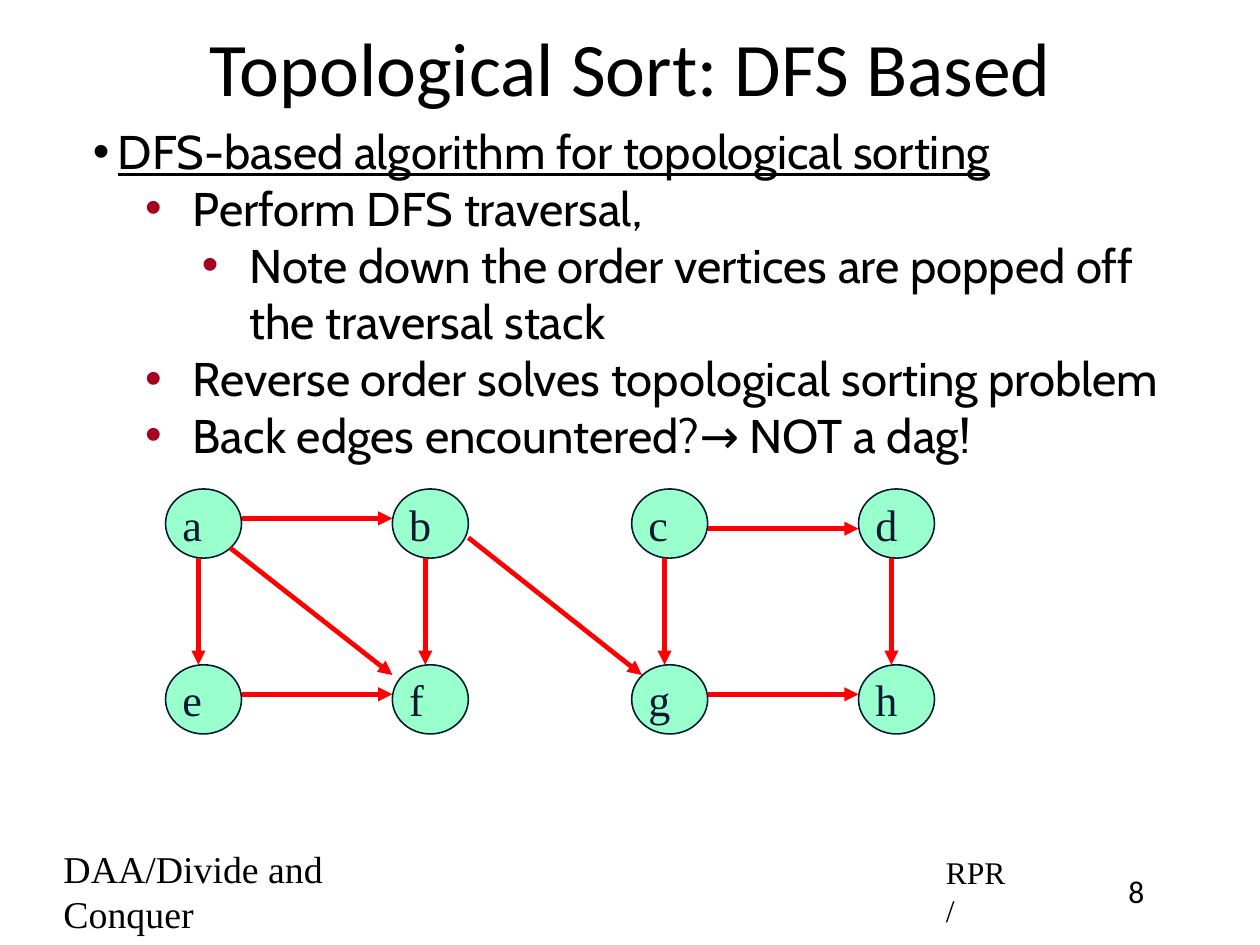
from lxml import etree
from pptx import Presentation
from pptx.dml.color import RGBColor
from pptx.enum.shapes import MSO_CONNECTOR, MSO_SHAPE
from pptx.enum.text import MSO_ANCHOR, MSO_AUTO_SIZE, PP_ALIGN
from pptx.oxml.ns import qn
from pptx.util import Inches, Pt

STRAIGHT = MSO_CONNECTOR.STRAIGHT
ELLIPSE = MSO_SHAPE.OVAL
TOP, MIDDLE = MSO_ANCHOR.TOP, MSO_ANCHOR.MIDDLE
NO_AUTOFIT = MSO_AUTO_SIZE.NONE
LEFT, CENTER = PP_ALIGN.LEFT, PP_ALIGN.CENTER

COLORS = {
    "text": "000000",
    "bullet": "A50021",
    "vertex": "99FFCC",
    "ink": "001932",
    "edge": "FF0000",
}

BODY_LINES = [
    (0, "DFS-based algorithm for topological sorting"),
    (1, "Perform DFS traversal,"),
    (2, "Note down the order vertices are popped off the traversal stack"),
    (1, "Reverse order solves topological sorting problem"),
    (1, "Back edges encountered?→ NOT a dag!"),
]
BODY_INDENTS = [(0.26, -0.22), (0.92, -0.42), (1.42, -0.42)]

COLUMN_LEFTS = [1.46, 3.46, 5.57, 7.57]
ROW_TOPS = [4.31, 5.86]
VERTEX_ROWS = ["abcd", "efgh"]
VERTEX_WIDTH, VERTEX_HEIGHT = 0.67, 0.61

PORTS = {
    "top": (0.29, 0),
    "bottom": (0.29, VERTEX_HEIGHT),
    "left": (0, 0.26),
    "right": (VERTEX_WIDTH, 0.26),
    "left low": (0, 0.35),
    "right low": (VERTEX_WIDTH, 0.35),
    "left high": (0, 0.09),
    "upper left": (0.09, 0.09),
    "lower right": (0.57, 0.52),
    "right lowest": (VERTEX_WIDTH, 0.43),
}
EDGES = [
    ("a", "right", "b", "left"),
    ("e", "right", "f", "left"),
    ("g", "right", "h", "left"),
    ("c", "right low", "d", "left low"),
    ("a", "bottom", "e", "top"),
    ("b", "bottom", "f", "top"),
    ("c", "bottom", "g", "top"),
    ("d", "bottom", "h", "top"),
    ("a", "lower right", "f", "left high"),
    ("b", "right lowest", "g", "upper left"),
]


def color(name):
    return RGBColor.from_string(COLORS[name])


def write_text(paragraph, text, size=20, font="Times New Roman", ink="text",
               align=LEFT, margin=0, indent=0, underline=False):
    paragraph.alignment = align
    paragraph.space_before = paragraph.space_after = Pt(0)
    properties = paragraph._p.get_or_add_pPr()
    properties.set("marL", str(Inches(margin)))
    properties.set("indent", str(Inches(indent)))
    run = paragraph.add_run()
    run.text = text
    run.font.size = Pt(size)
    run.font.name = font
    run.font.color.rgb = color(ink)
    run.font.underline = underline


def add_bullet(paragraph, bullet_color):
    properties = paragraph._p.get_or_add_pPr()
    fill = etree.SubElement(properties, qn("a:buClr"))
    etree.SubElement(fill, qn("a:srgbClr"), val=COLORS[bullet_color])
    etree.SubElement(properties, qn("a:buFont"), typeface="Arial")
    etree.SubElement(properties, qn("a:buChar"), char="•")


class SlideBuilder:
    def __init__(self, presentation):
        self.slide = presentation.slides.add_slide(presentation.slide_layouts[1])
        self.inset = 0.06

    def frame(self, shape, anchor, inset):
        frame = shape.text_frame
        frame.word_wrap = True
        frame.auto_size = NO_AUTOFIT
        frame.vertical_anchor = anchor
        frame.margin_left = frame.margin_right = Inches(inset)
        frame.margin_top = frame.margin_bottom = Inches(inset)
        return frame

    def placeholder(self, index, box, anchor):
        shape = self.slide.placeholders[index]
        shape.left, shape.top, shape.width, shape.height = map(Inches, box)
        return self.frame(shape, anchor, self.inset)

    def title(self, text, box):
        frame = self.placeholder(0, box, MIDDLE)
        write_text(frame.paragraphs[0], text, size=48, font="Calibri",
                   align=CENTER, margin=0.04)

    def body(self, lines, box):
        frame = self.placeholder(1, box, TOP)
        for number, (level, text) in enumerate(lines):
            paragraph = frame.add_paragraph() if number else frame.paragraphs[0]
            paragraph.level = level
            margin, indent = BODY_INDENTS[level]
            write_text(paragraph, text, size=30, font="Cabin", margin=margin,
                       indent=indent, underline=level == 0)
            add_bullet(paragraph, "bullet" if level else "text")

    def label(self, text, box, anchor=MIDDLE, **text_format):
        shape = self.slide.shapes.add_textbox(*map(Inches, box))
        frame = self.frame(shape, anchor, self.inset)
        write_text(frame.paragraphs[0], text, **text_format)

    def vertex(self, name, left, top):
        box = map(Inches, (left, top, VERTEX_WIDTH, VERTEX_HEIGHT))
        shape = self.slide.shapes.add_shape(ELLIPSE, *box)
        shape.shadow.inherit = False
        shape.fill.solid()
        shape.fill.fore_color.rgb = color("vertex")
        shape.line.color.rgb = color("ink")
        shape.line.width = Pt(1)
        frame = self.frame(shape, MIDDLE, 0.05)
        write_text(frame.paragraphs[0], name, size=28, ink="ink")

    def arrow(self, start, end):
        connector = self.slide.shapes.add_connector(
            STRAIGHT, *map(Inches, (*start, *end)))
        connector.line.color.rgb = color("edge")
        connector.line.width = Pt(3)
        etree.SubElement(connector.line._get_or_add_ln(), qn("a:tailEnd"),
                         type="triangle")
        etree.SubElement(connector._element.spPr, qn("a:effectLst"))


def main():
    presentation = Presentation()
    presentation.slide_width = Inches(11.11)
    presentation.slide_height = Inches(8.33)
    builder = SlideBuilder(presentation)

    builder.title("Topological Sort: DFS Based", (0.82, 0.06, 9.44, 1.04))
    builder.body(BODY_LINES, (0.72, 1.02, 9.9, 3.12))
    builder.label("8", (9.69, 7.63, 0.66, 0.42), anchor=TOP, font="Calibri",
                  align=CENTER)
    builder.label("DAA/Divide and Conquer", (0.46, 7.41, 2.75, 0.89), size=24,
                  margin=0.04)
    builder.label("RPR/", (8.24, 7.48, 0.7, 0.74), margin=0.04)

    corners = {
        name: (left, top)
        for names, top in zip(VERTEX_ROWS, ROW_TOPS)
        for name, left in zip(names, COLUMN_LEFTS)
    }
    for name, corner in corners.items():
        builder.vertex(name, *corner)

    for source, source_port, target, target_port in EDGES:
        start, end = (
            [position + offset for position, offset in zip(corners[name], PORTS[port])]
            for name, port in ((source, source_port), (target, target_port))
        )
        builder.arrow(start, end)

    presentation.save("out.pptx")


if __name__ == "__main__":
    main()
